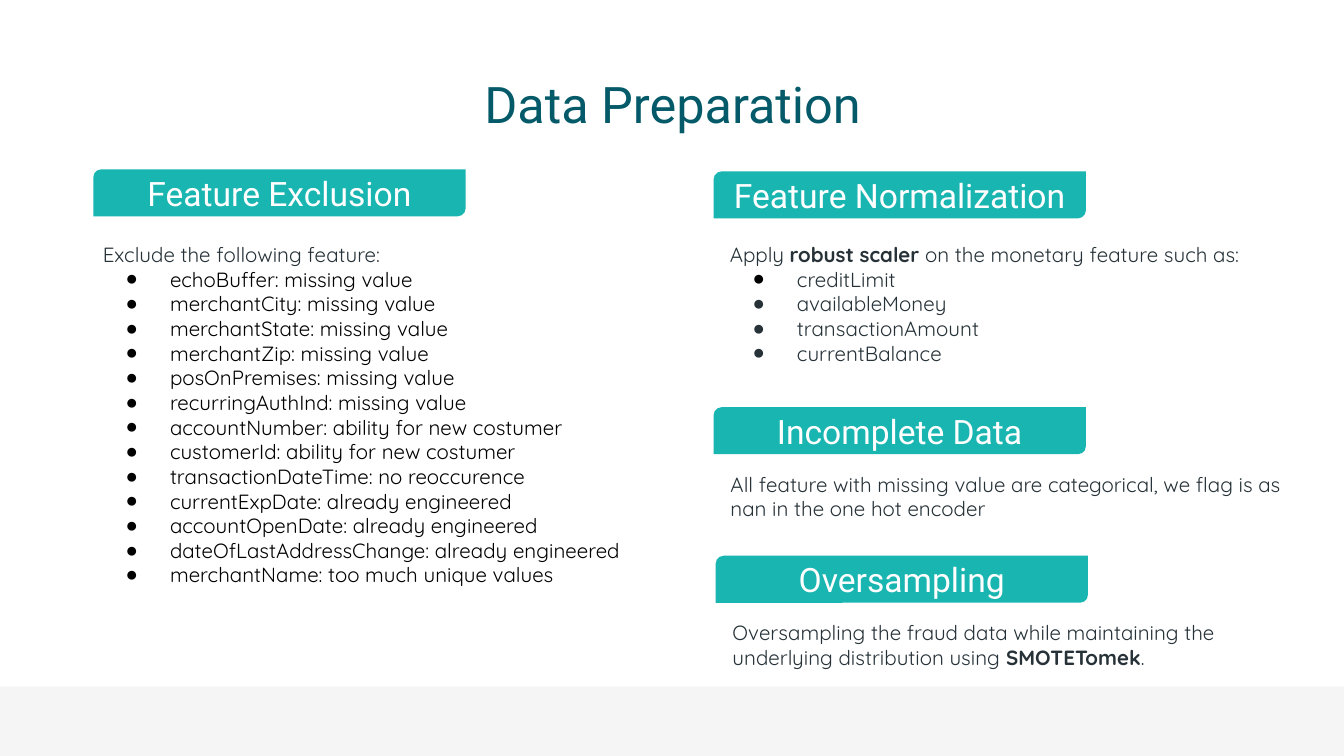
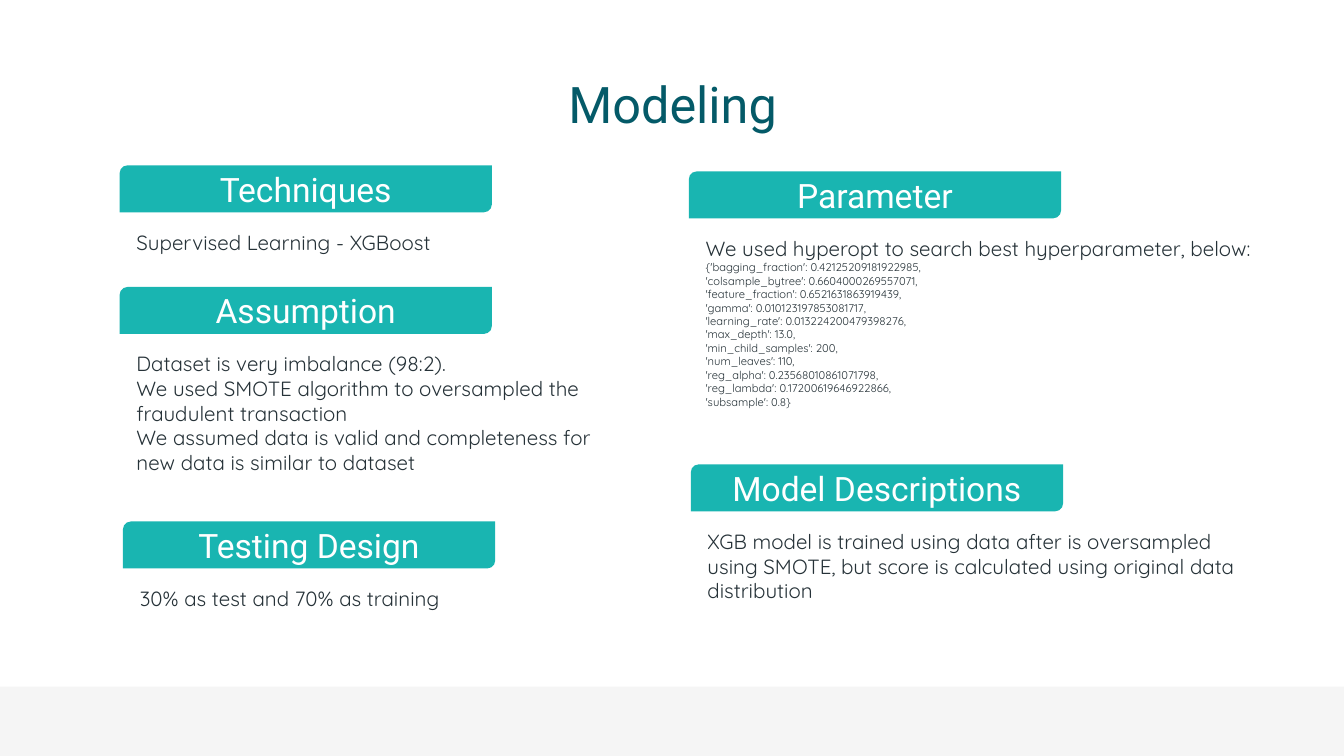
from lxml.etree import SubElement
from pptx import Presentation
from pptx.dml.color import RGBColor
from pptx.enum.shapes import MSO_SHAPE
from pptx.enum.text import MSO_ANCHOR, MSO_AUTO_SIZE, PP_ALIGN
from pptx.oxml.ns import qn
from pptx.util import Pt

PX = 4572  # 200 px to the inch
WIDTH, HEIGHT = 2000, 1125
BAND_TOP = 1022
BLACK, INK, WHITE = "000000", "263238", "FFFFFF"
TEAL, DEEP_TEAL, PALE_GRAY = "19B5B1", "045A68", "F5F5F5"
HEADING_FONT, BODY_FONT = "Roboto", "Quicksand"


def rgb(value):
    return RGBColor.from_string(value)


class DeckBuilder:
    """Holds the shared style and the current slide."""

    def __init__(self):
        self.deck = Presentation()
        self.deck.slide_width, self.deck.slide_height = WIDTH * PX, HEIGHT * PX
        self.layout = self.deck.slide_layouts.get_by_name("Comparison")
        self.page = None
        self.free_bodies = []

    def new_page(self, title):
        first = self.page is None
        self.page = self.deck.slides.add_slide(self.layout)
        if first:
            self.add_footer_band()
        heading, *self.free_bodies = self.page.placeholders
        self.place(heading, 158, 119, 1686, 70)
        self.set_frame(heading, MSO_ANCHOR.MIDDLE)
        self.add_heading_text(heading, title, 27, DEEP_TEAL)

    def add_footer_band(self):
        # The band lives on the master, so every slide shows it
        band = self.add_block(
            MSO_SHAPE.RECTANGLE, 0, BAND_TOP, WIDTH, HEIGHT - BAND_TOP, PALE_GRAY)
        master = self.layout.slide_master
        master.shapes[0].element.addprevious(band.element)

    def place(self, box, left, top, width, height):
        box.left, box.top = left * PX, top * PX
        box.width, box.height = width * PX, height * PX

    def set_frame(self, box, anchor):
        frame = box.text_frame
        frame.word_wrap = True
        frame.auto_size = MSO_AUTO_SIZE.NONE
        frame.vertical_anchor = anchor
        frame.margin_left = frame.margin_right = 20 * PX
        frame.margin_top = frame.margin_bottom = 20 * PX

    def add_span(self, para, text, size, font, color, bold=False):
        span = para.add_run()
        span.text = text
        span.font.size = Pt(size)
        span.font.name = font
        span.font.bold = bold
        span.font.color.rgb = rgb(color)

    def add_heading_text(self, box, text, size, color):
        para = box.text_frame.paragraphs[0]
        para.alignment = PP_ALIGN.CENTER
        self.add_span(para, text, size, HEADING_FONT, color)

    def add_block(self, kind, left, top, width, height, fill):
        block = self.page.shapes.add_shape(
            kind, left * PX, top * PX, width * PX, height * PX)
        block.shadow.inherit = False
        block.fill.solid()
        block.fill.fore_color.rgb = rgb(fill)
        block.line.fill.background()
        return block

    def add_label(self, left, top, text):
        label = self.add_block(MSO_SHAPE.ROUND_2_DIAG_RECTANGLE, left, top, 554, 70, TEAL)
        label.adjustments[0], label.adjustments[1] = 0.17, 0
        self.set_frame(label, MSO_ANCHOR.MIDDLE)
        self.add_heading_text(label, text, 18, WHITE)

    def set_bullet(self, para, color):
        properties = para._p.get_or_add_pPr()
        properties.set("marL", str(100 * PX if color else 0))
        properties.set("indent", str(-66 * PX if color else 0))
        if not color:
            SubElement(properties, qn("a:buNone"))
            return
        tint = SubElement(properties, qn("a:buClr"))
        SubElement(tint, qn("a:srgbClr")).set("val", color)
        SubElement(properties, qn("a:buChar")).set("char", "●")

    def add_body(self, left, top, width, height):
        if self.free_bodies:
            box = self.free_bodies.pop(0)
        else:
            box = self.page.shapes.add_textbox(0, 0, PX, PX)
        self.place(box, left, top, width, height)
        self.set_frame(box, MSO_ANCHOR.TOP)
        return box

    def add_para(self, box, text, size=11, color=INK, bullet=None):
        """Add one paragraph; text between ** marks is bold."""
        frame = box.text_frame
        para = frame.paragraphs[0]
        if para.runs:
            para = frame.add_paragraph()
        para.alignment = PP_ALIGN.LEFT
        para.line_spacing = 1.0
        para.space_before = para.space_after = Pt(0)
        self.set_bullet(para, bullet)
        for number, part in enumerate(text.split("**")):
            if part:
                self.add_span(para, part, size, BODY_FONT, color, number % 2 == 1)

    def add_section(self, left, top, title, lines, width=862, height=78, offset=(5, 76)):
        """Add a label with its text below; return the text box."""
        self.add_label(left, top, title)
        box = self.add_body(left + offset[0], top + offset[1], width, height)
        for line in lines:
            self.add_para(box, line)
        return box


EXCLUDED_FEATURES = {
    "missing value": ["echoBuffer", "merchantCity", "merchantState", "merchantZip",
                      "posOnPremises", "recurringAuthInd"],
    "ability for new costumer": ["accountNumber", "customerId"],
    "no reoccurence": ["transactionDateTime"],
    "already engineered": ["currentExpDate", "accountOpenDate", "dateOfLastAddressChange"],
    "too much unique values": ["merchantName"],
}
MONETARY_FEATURES = ["creditLimit", "availableMoney", "transactionAmount", "currentBalance"]
BEST_PARAMETERS = [
    "{'bagging_fraction': 0.42125209181922985,",
    "'colsample_bytree': 0.6604000269557071,",
    "'feature_fraction': 0.6521631863919439,",
    "'gamma': 0.010123197853081717,",
    "'learning_rate': 0.013224200479398276,",
    "'max_depth': 13.0,",
    "'min_child_samples': 200,",
    "'num_leaves': 110,",
    "'reg_alpha': 0.23568010861071798,",
    "'reg_lambda': 0.17200619646922866,",
    "'subsample': 0.8}",
]


def build_preparation(builder):
    builder.new_page("Data Preparation")

    # Left column: excluded features with the reason
    exclusion = builder.add_section(
        139, 252, "Feature Exclusion", ["Exclude the following feature:"],
        906, 354, offset=(-6, 88))
    for reason, features in EXCLUDED_FEATURES.items():
        for feature in features:
            builder.add_para(exclusion, f"{feature}: {reason}", color=BLACK, bullet=BLACK)

    # Right column: scaling, missing values, class balance
    scaling = builder.add_section(
        1062, 255, "Feature Normalization",
        ["Apply **robust scaler** on the monetary feature such as:"],
        800, 280, offset=(4, 85))
    for number, feature in enumerate(MONETARY_FEATURES):
        builder.add_para(scaling, feature, bullet=INK if number else BLACK)
    builder.add_section(
        1062, 606, "Incomplete Data",
        ["All feature with missing value are categorical, we flag is as "
         "nan in the one hot encoder"], height=162)
    builder.add_section(
        1065, 827, "Oversampling",
        ["Oversampling the fraud data while maintaining the underlying "
         "distribution using **SMOTETomek**."], height=162)


def build_modeling(builder):
    builder.new_page("Modeling")

    # Left column: approach
    builder.add_section(178, 246, "Techniques", ["Supervised Learning - XGBoost"])
    builder.add_section(
        178, 427, "Assumption",
        ["Dataset is very imbalance (98:2).",
         "We used SMOTE algorithm to oversampled the fraudulent transaction",
         "We assumed data is valid and completeness for new data is similar to dataset"],
        width=770)
    builder.add_section(183, 776, "Testing Design", ["30% as test and 70% as training"])

    # Right column: tuned model
    tuning = builder.add_section(
        1025, 255, "Parameter",
        ["We used hyperopt to search best hyperparameter, below:"])
    for parameter in BEST_PARAMETERS:
        builder.add_para(tuning, parameter, size=6)
    builder.add_section(
        1028, 691, "Model Descriptions",
        ["XGB model is trained using data after is oversampled using SMOTE, "
         "but score is calculated using original data distribution"])


def main():
    builder = DeckBuilder()
    build_preparation(builder)
    build_modeling(builder)
    builder.deck.save("out.pptx")


if __name__ == "__main__":
    main()
